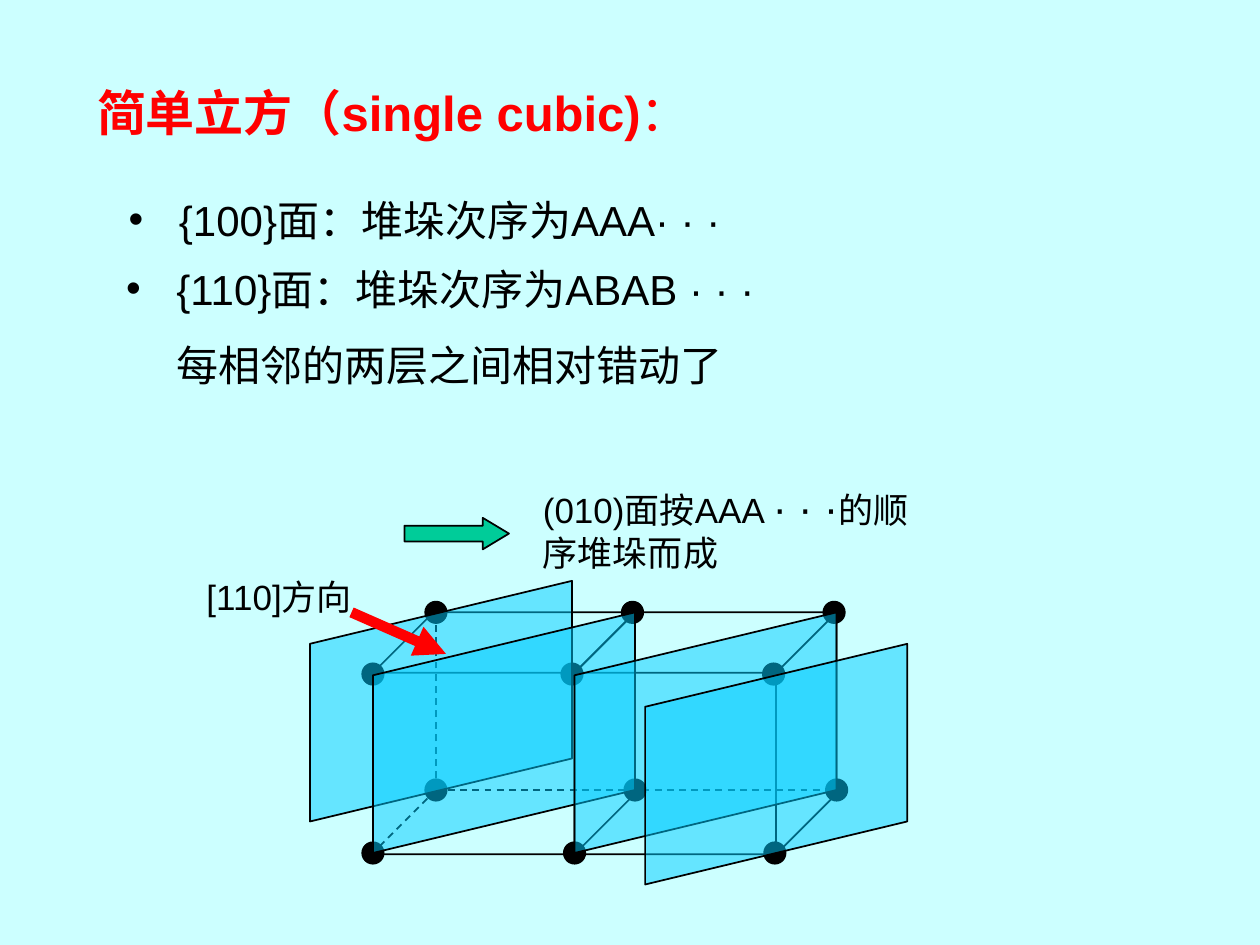
import pptx
import pptx.dml.color
import pptx.enum.dml
import pptx.enum.shapes
import pptx.enum.text
import pptx.oxml.ns
import pptx.util
from lxml import etree

RGBColor = pptx.dml.color.RGBColor
Shapes = pptx.enum.shapes.MSO_SHAPE
AutoSize = pptx.enum.text.MSO_AUTO_SIZE

BACKGROUND = RGBColor(0xCC, 0xFF, 0xFF)
BLACK = RGBColor(0, 0, 0)
RED = RGBColor(0xFF, 0, 0)
GREEN = RGBColor(0, 0xCC, 0x99)
BLUE = RGBColor(0, 0xCC, 0xFF)
COLUMNS, ROWS = 10, 7.5


def add_element(parent, tag, **attributes):
    return etree.SubElement(parent, pptx.oxml.ns.qn(tag), **attributes)


class SlideBuilder:
    font = "Arial"

    def __init__(self, deck, layout):
        self.column = deck.slide_width / COLUMNS
        self.row = deck.slide_height / ROWS
        self.page = deck.slides.add_slide(deck.slide_layouts[layout])
        self.page.background.fill.solid()
        self.page.background.fill.fore_color.rgb = BACKGROUND

    def point(self, x, y):
        return round(x * self.column), round(y * self.row)

    def frame(self, x, y, width, height):
        return self.point(x, y) + self.point(width, height)

    def outline(self, line, color=BLACK, width=1):
        line.color.rgb = color
        line.width = pptx.util.Pt(width)

    def style(self, span, size, color=BLACK, bold=False):
        span.font.name = self.font
        span.font.size = pptx.util.Pt(size)
        span.font.color.rgb = color
        span.font.bold = bold

    def placeholder(self, index, place, grow=True):
        box = self.page.placeholders[index]
        box.left, box.top, box.width, box.height = self.frame(*place)
        text = box.text_frame
        text.word_wrap = True
        text.auto_size = AutoSize.SHAPE_TO_FIT_TEXT if grow else AutoSize.NONE
        text.vertical_anchor = pptx.enum.text.MSO_ANCHOR.TOP
        return text

    def title(self, place, pieces):
        text = self.placeholder(0, place, grow=False)
        para = text.paragraphs[0]
        para.alignment = pptx.enum.text.PP_ALIGN.LEFT
        para.line_spacing = 1.4
        for words, bold in pieces:
            span = para.add_run()
            span.text = words
            self.style(span, 28, RED, bold)

    def body(self, index, place, lines, spacing):
        text = self.placeholder(index, place)
        text.text = "\n".join(words for words, _ in lines)
        for number, (para, (_, bullet)) in enumerate(zip(text.paragraphs, lines)):
            properties = para._p.get_or_add_pPr()
            indent = round(0.4 * self.column)
            properties.set("marL", str(indent))
            properties.set("indent", str(-indent if bullet else 0))
            if bullet:
                add_element(properties, "a:buChar", char="•")
            else:
                add_element(properties, "a:buNone")
            para.line_spacing = spacing
            para.space_before = pptx.util.Pt(12 if number else 0)
            self.style(para.runs[0], 24)

    def label(self, place, pieces):
        box = self.page.shapes.add_textbox(*self.frame(*place))
        box.text_frame.word_wrap = True
        box.text_frame.auto_size = AutoSize.SHAPE_TO_FIT_TEXT
        for words, size in pieces:
            span = box.text_frame.paragraphs[0].add_run()
            span.text = words
            self.style(span, size)

    def shape(self, kind, place, fill=None, adjustments=()):
        shape = self.page.shapes.add_shape(kind, *self.frame(*place))
        shape.shadow.inherit = False
        for number, value in enumerate(adjustments):
            shape.adjustments[number] = value
        if fill is None:
            shape.fill.background()
        else:
            shape.fill.solid()
            shape.fill.fore_color.rgb = fill
        self.outline(shape.line)

    def atom(self, x, y, size=0.17):
        self.shape(Shapes.OVAL, (x - size / 2, y - size / 2, size, size), BLACK)

    def line(self, start, end, color=BLACK, width=1, dashed=False, arrow=False):
        line = self.page.shapes.add_connector(
            pptx.enum.shapes.MSO_CONNECTOR.STRAIGHT,
            *self.point(*start), *self.point(*end))
        self.outline(line.line, color, width)
        if dashed:
            line.line.dash_style = pptx.enum.dml.MSO_LINE.DASH
        if arrow:
            add_element(line.line._get_or_add_ln(), "a:tailEnd", type="triangle")
        add_element(line._element.spPr, "a:effectLst")

    def plane(self, left, top, width=2.08, height=1.41, rise=0.5):
        corners = [(left, top + rise), (left + width, top),
                   (left + width, top + height), (left, top + rise + height)]
        points = [self.point(*corner) for corner in corners]
        builder = self.page.shapes.build_freeform(*points[0])
        builder.add_line_segments(points[1:], close=True)
        plane = builder.convert_to_shape()
        plane.shadow.inherit = False
        plane.fill.solid()
        plane.fill.fore_color.rgb = BLUE
        color = plane._element.xpath(".//p:spPr/a:solidFill/a:srgbClr")[0]
        add_element(color, "a:alpha", val="50000")
        self.outline(plane.line)


def main():
    deck = pptx.Presentation()
    deck.slide_width = pptx.util.Inches(10)
    deck.slide_height = pptx.util.Inches(7.5)
    slide = SlideBuilder(deck, layout=3)

    # Title and stacking rules
    slide.title((0.67, 0.42, 8.5, 0.92),
                [("简单立方（single cubic)", True), ("：", False)])
    slide.body(1, (0.92, 1.33, 6, 0.6),
               [("{100}面：堆垛次序为AAA· · ·", True)], spacing=1.4)
    slide.body(2, (0.9, 2, 6.18, 1.19),
               [("{110}面：堆垛次序为ABAB · · ·", True),
                ("每相邻的两层之间相对错动了", False)], spacing=1.1)

    # Two neighbouring unit cells with their hidden edges
    for left in (2.96, 4.56):
        slide.shape(Shapes.CUBE, (left, 4.86, 2.08, 1.92), adjustments=[0.25])
    hidden_corner = (3.46, 6.27)
    for end in ((3.46, 4.86), (6.64, 6.27), (2.96, 6.77)):
        slide.line(hidden_corner, end, dashed=True)

    # Atoms, row by row
    atom_rows = {4.86: (3.46, 5.02, 6.62), 5.35: (2.96, 4.54, 6.14),
                 6.27: (3.46, 5.04, 6.64), 6.77: (2.96, 4.56, 6.15)}
    for y, centres in atom_rows.items():
        for x in centres:
            slide.atom(x, y)

    # Stacking arrow and its explanation
    slide.shape(Shapes.RIGHT_ARROW, (3.21, 4.11, 0.83, 0.25), GREEN, [0.5, 0.83])
    slide.label((4.21, 3.77, 3.25, 0.83),
                [("(010)面按AAA ", 20), ("· · ·", 24), ("的顺序堆垛而成", 20)])

    # Translucent lattice planes
    for left, top in ((2.46, 4.61), (2.96, 4.86), (4.56, 4.86), (5.12, 5.11)):
        slide.plane(left, top)

    # Direction arrow and label
    slide.line((2.79, 4.86), (3.54, 5.19), RED, 6, arrow=True)
    slide.label((1.54, 4.52, 1.75, 0.43), [("[110]方向", 20)])

    deck.save("out.pptx")


if __name__ == "__main__":
    main()
